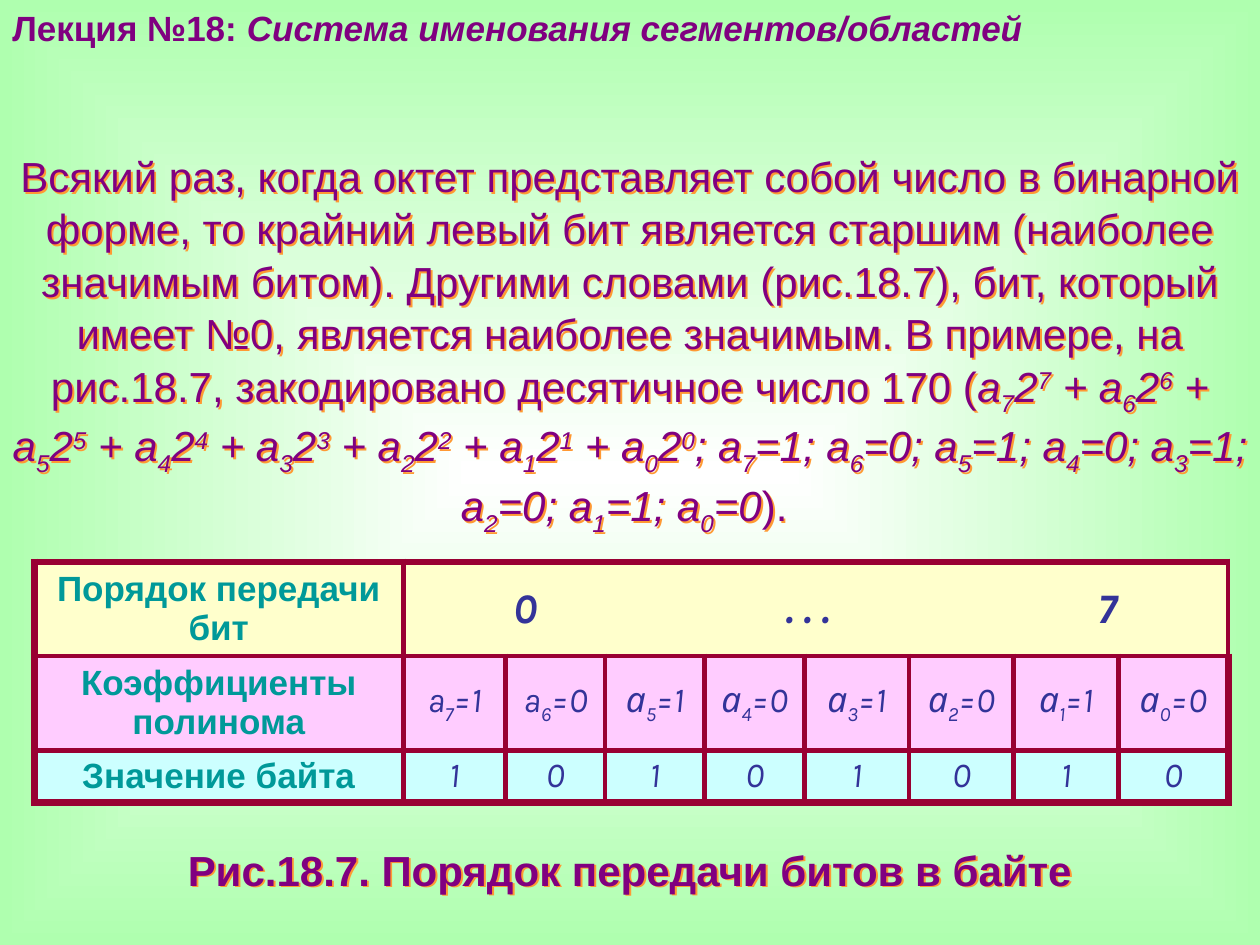
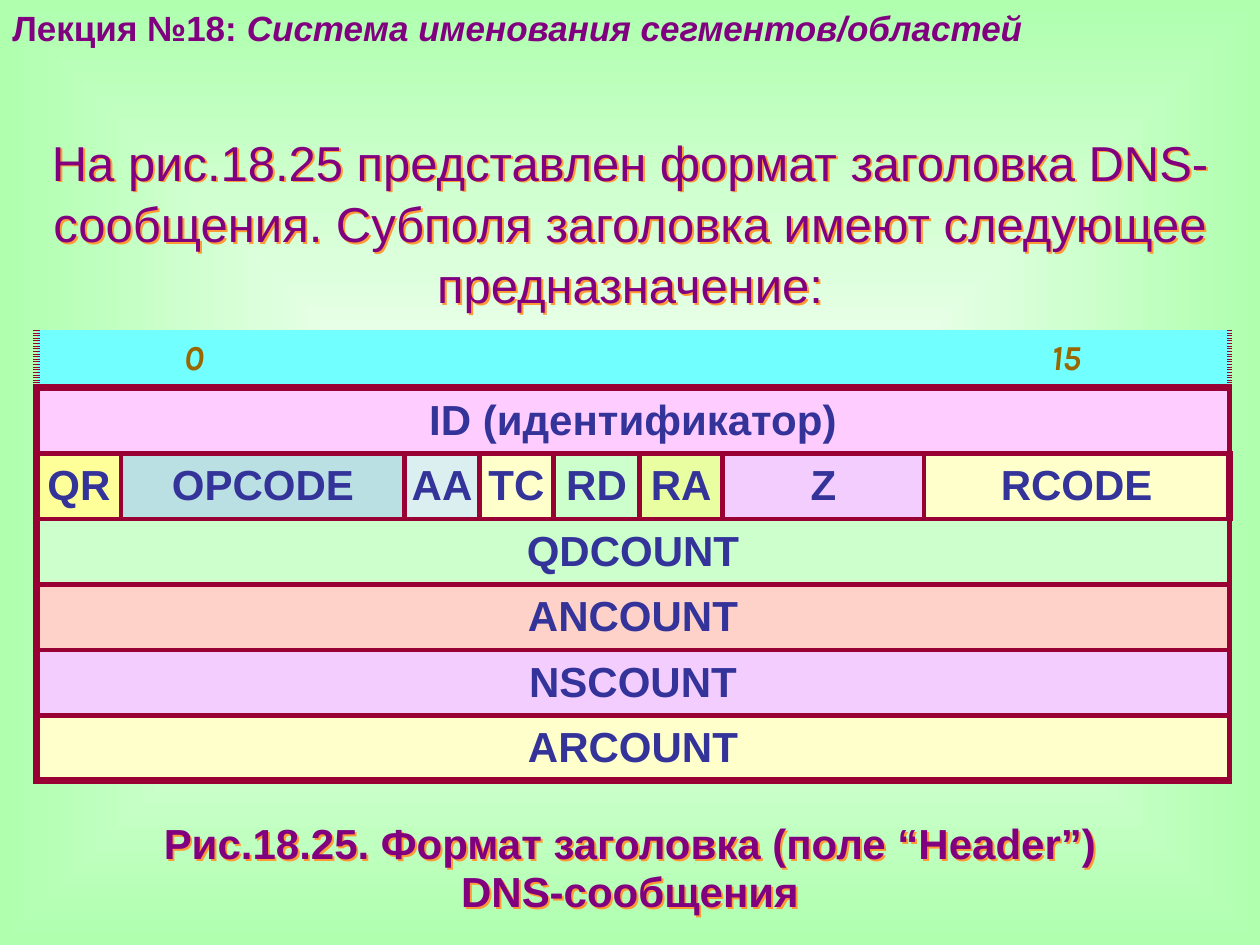
"""Build two lecture slides: the bit order in a byte and the DNS message header."""
import dataclasses
import typing

import pptx
import pptx.dml.color
import pptx.enum.text
import pptx.oxml
import pptx.oxml.ns
import pptx.util

Cm = pptx.util.Cm
Pt = pptx.util.Pt
RGB = pptx.dml.color.RGBColor.from_string
Align = pptx.enum.text.PP_ALIGN
Anchor = pptx.enum.text.MSO_ANCHOR
qn = pptx.oxml.ns.qn
NS = pptx.oxml.ns.nsdecls("a")


@dataclasses.dataclass(frozen=True)
class Theme:
    page: str = "AFFFAF"
    center: str = "FFFFFF"
    purple: str = "800080"
    shadow: str = "FF9933"
    border: str = "990033"
    teal: str = "009999"
    navy: str = "333399"
    brown: str = "996600"
    cream: str = "FFFFCC"
    pink: str = "FFCCFF"
    aqua: str = "CCFFFF"
    mint: str = "CCFFCC"
    lilac: str = "F4CDFF"
    cyan: str = "71FFFF"
    yellow: str = "FFFF99"
    blue: str = "BBE0E3"
    pale_blue: str = "DCEFF0"
    lime: str = "E9FDA1"
    salmon: str = "FFD2C9"
    sans: str = "Arial"
    hand: str = "Karla"
    small: int = 20
    medium: int = 24
    large: int = 28
    outer: float = 4.5
    inner: float = 3


T = Theme()
WIDTH = 25.4
BITS = dict(zip(range(7, -1, -1), (1, 0, 1, 0, 1, 0, 1, 0)))
LABEL = dict(size=T.small, color=T.teal, bold=True)
VALUE = dict(size=T.small, color=T.navy, font=T.hand, italic=True)
FIELD = dict(size=T.medium, color=T.navy, bold=True)


@dataclasses.dataclass(frozen=True)
class Cell:
    text: str
    fill: str
    style: dict
    span: int = 1
    tabs: tuple = ()


@dataclasses.dataclass(frozen=True)
class Grid:
    left: float
    top: float
    cols: tuple
    heights: tuple
    rows: list
    margin_x: float
    margin_y: float
    ruler: bool = False


def write(p: typing.Any, text: str, *, size: float, color: str, font: str = T.sans,
          bold: bool = False, italic: bool = False) -> None:
    """Add text to a paragraph; _ lowers and ^ raises the next character."""
    parts, mark = [("", "")], ""
    for ch in text:
        if ch in "_^":
            mark = ch
        elif mark or parts[-1][0]:
            parts.append((mark, ch))
            mark = ""
        else:
            parts[-1] = ("", parts[-1][1] + ch)
    for kind, part in parts:
        if not part:
            continue
        r = p.add_run()
        r.text = part
        r.font.size, r.font.name = Pt(size), font
        r.font.bold, r.font.italic = bold, italic
        r.font.color.rgb = RGB(color)
        if kind:
            r.font._element.set("baseline", "-25000" if kind == "_" else "30000")


def add_text(slide: typing.Any, top: float, height: float, lines: list, *,
             align: typing.Any = Align.CENTER, spacing: float = 1.0,
             shadow: bool = True, caption: bool = False) -> None:
    """Add a full-width text box; each line is a list of (text, format) pairs."""
    sp = slide.shapes.add_textbox(0, Cm(top), Cm(WIDTH), Cm(height))
    tf = sp.text_frame
    tf.word_wrap = True
    if caption:
        tf.vertical_anchor = Anchor.MIDDLE
        tf.margin_left = tf.margin_right = tf.margin_top = tf.margin_bottom = 0
    for i, line in enumerate(lines):
        p = tf.add_paragraph() if i else tf.paragraphs[0]
        p.alignment, p.line_spacing = align, spacing
        for text, style in line:
            write(p, text, **style)
    if shadow:
        sp._element.spPr.append(pptx.oxml.parse_xml(
            f'<a:effectLst {NS}><a:outerShdw dist="20000" dir="2700000" algn="ctr">'
            f'<a:srgbClr val="{T.shadow}"/></a:outerShdw></a:effectLst>'))


def add_header(slide: typing.Any) -> None:
    """Add the lecture title at the top."""
    style = dict(size=T.small, color=T.purple, bold=True)
    add_text(slide, 0, 1.09, [[("Лекция №18: ", style),
             ("Система именования сегментов/областей", dict(style, italic=True))]],
             align=Align.LEFT, shadow=False)


def add_caption(slide: typing.Any, top: float, height: float, *lines: str) -> None:
    """Add a bold figure caption."""
    style = dict(size=T.medium, color=T.purple, bold=True)
    add_text(slide, top, height, [[(line, style)] for line in lines],
             spacing=0.94, caption=True)


def set_borders(cell: typing.Any, row: int, col: int, grid: Grid) -> None:
    """Draw thick outer and thin inner borders; a ruler row has dotted sides."""
    last_row, last_col = len(grid.heights) - 1, len(grid.cols) - 1
    first_row = 1 if grid.ruler else 0
    in_ruler = row < first_row
    thick = {"L": col == 0, "R": col == last_col, "T": row == first_row,
             "B": row == last_row or in_ruler}
    tc_pr = cell._tc.get_or_add_tcPr()
    for i, (side, is_outer) in enumerate(thick.items()):
        dash = "sysDot" if in_ruler and side in "LR" else "solid"
        paint = f'<a:solidFill><a:srgbClr val="{T.border}"/></a:solidFill><a:prstDash val="{dash}"/>'
        if in_ruler and side == "T":
            paint = "<a:noFill/>"
        width = Pt(T.outer if is_outer else T.inner)
        tc_pr.insert(i, pptx.oxml.parse_xml(f'<a:ln{side} {NS} w="{width}">{paint}</a:ln{side}>'))


def fill_cell(cell: typing.Any, item: Cell, grid: Grid) -> None:
    """Set the text, margins and alignment of one table cell."""
    cell.vertical_anchor = Anchor.MIDDLE
    cell.margin_left = cell.margin_right = Cm(grid.margin_x)
    cell.margin_top = cell.margin_bottom = Cm(grid.margin_y)
    p = cell.text_frame.paragraphs[0]
    p.alignment = Align.LEFT if item.tabs else Align.CENTER
    if item.tabs:
        stops = "".join(f'<a:tab pos="{Cm(x)}" algn="ctr"/>' for x in item.tabs)
        p._p.get_or_add_pPr().append(pptx.oxml.parse_xml(f"<a:tabLst {NS}>{stops}</a:tabLst>"))
    write(p, item.text, **item.style)


def add_grid(slide: typing.Any, grid: Grid) -> None:
    """Add a bordered table."""
    frame = slide.shapes.add_table(len(grid.heights), len(grid.cols), Cm(grid.left), Cm(grid.top),
                                   Cm(sum(grid.cols)), Cm(sum(grid.heights)))
    table = frame.table
    table.first_row = table.horz_banding = False
    for column, width in zip(table.columns, grid.cols):
        column.width = Cm(width)
    for i, (row, height) in enumerate(zip(grid.rows, grid.heights)):
        table.rows[i].height = Cm(height)
        col = 0
        for item in row:
            end = col + item.span
            for j in range(col, end):
                cell = table.cell(i, j)
                cell.fill.solid()
                cell.fill.fore_color.rgb = RGB(item.fill)
                set_borders(cell, i, j, grid)
            if item.span > 1:
                table.cell(i, col).merge(table.cell(i, end - 1))
            fill_cell(table.cell(i, col), item, grid)
            col = end


def set_background(prs: typing.Any) -> None:
    """Give all slides a green gradient that fades to a white centre."""
    master = prs.slide_master
    fill = master.background.fill
    fill.gradient()
    for stop, color in zip(fill.gradient_stops, (T.center, T.page)):
        stop.color.rgb = RGB(color)
    grad = master._element.find(".//" + qn("a:gradFill"))
    grad.remove(grad.find(qn("a:lin")))
    grad.append(pptx.oxml.parse_xml(
        f'<a:path {NS} path="shape"><a:fillToRect l="50000" t="50000" r="50000" b="50000"/></a:path>'))


def add_byte_slide(prs: typing.Any) -> None:
    """Add the slide on the bit order in a byte."""
    slide = prs.slides.add_slide(prs.slide_layouts[6])
    add_header(slide)
    body = dict(size=T.medium, color=T.purple)
    polynomial = " + ".join(f"а_{i}2^{i}" for i in BITS)
    values = "; ".join(f"а_{i}={bit}" for i, bit in BITS.items())
    intro = ("Всякий раз, когда октет представляет собой число в бинарной форме, то крайний "
             "левый бит является старшим (наиболее значимым битом). Другими словами (рис.18.7), "
             "бит, который имеет №0, является наиболее значимым. В примере, на рис.18.7, "
             "закодировано десятичное число 170 (")
    add_text(slide, 2.87, 7.37, [[(intro, body),
             (f"{polynomial}; {values}", dict(body, italic=True)), ("). ", body)]], spacing=1.04)
    order = dict(VALUE, size=T.medium, bold=True)
    rows = [
        [Cell("Порядок передачи бит", T.cream, LABEL),
         Cell("\t0\t. . .\t7", T.cream, order, 8, (2.46, 8.15, 14.2))],
        [Cell("Коэффициенты полинома", T.pink, LABEL)]
        + [Cell(f"{'a' if i > 5 else 'а'}_{i}={bit}", T.pink, VALUE) for i, bit in BITS.items()],
        [Cell("Значение байта", T.aqua, LABEL)]
        + [Cell(str(bit), T.aqua, VALUE) for bit in BITS.values()],
    ]
    cols = (7.44, 2.06, 2.01, 2.01, 2.01, 2.11, 2.11, 2.11, 2.21)
    add_grid(slide, Grid(0.69, 11.33, cols, (1.88, 1.9, 1.05), rows, 0, 0.1))
    add_caption(slide, 17.12, 0.91, "Рис.18.7. Порядок передачи битов в байте")


def add_dns_slide(prs: typing.Any) -> None:
    """Add the slide on the DNS message header."""
    slide = prs.slides.add_slide(prs.slide_layouts[6])
    add_header(slide)
    add_text(slide, 2.49, 3.81, [[(
        "На рис.18.25 представлен формат заголовка DNS-сообщения. Субполя заголовка "
        "имеют следующее предназначение:", dict(size=T.large, color=T.purple))]], spacing=1.04)
    ruler = dict(VALUE, color=T.brown, bold=True)
    flags = {"QR": T.yellow, "OPCODE": T.blue, "AA": T.pale_blue, "TC": T.cream,
             "RD": T.mint, "RA": T.lime, "Z": T.lilac, "RCODE": T.cream}
    counts = {"QDCOUNT": T.mint, "ANCOUNT": T.salmon, "NSCOUNT": T.lilac, "ARCOUNT": T.cream}
    rows = [
        [Cell("\t0\t15", T.cyan, ruler, 8, (3.12, 20.7))],
        [Cell("ID (идентификатор)", T.pink, FIELD, 8)],
        [Cell(name, fill, FIELD) for name, fill in flags.items()],
        *[[Cell(name, fill, FIELD, 8)] for name, fill in counts.items()],
    ]
    cols = (1.7, 5.72, 1.5, 1.5, 1.73, 1.68, 4.06, 6.15)
    add_grid(slide, Grid(0.74, 6.65, cols, (1.17,) + (1.32,) * 6, rows, 0.05, 0.05, ruler=True))
    add_caption(slide, 16.61, 1.83, "Рис.18.25. Формат заголовка (поле “Header”)", "DNS-сообщения")


def main() -> None:
    """Build and save the presentation."""
    prs = pptx.Presentation()
    prs.slide_width, prs.slide_height = Cm(WIDTH), Cm(19.05)
    set_background(prs)
    add_byte_slide(prs)
    add_dns_slide(prs)
    prs.save("out.pptx")


if __name__ == "__main__":
    main()
